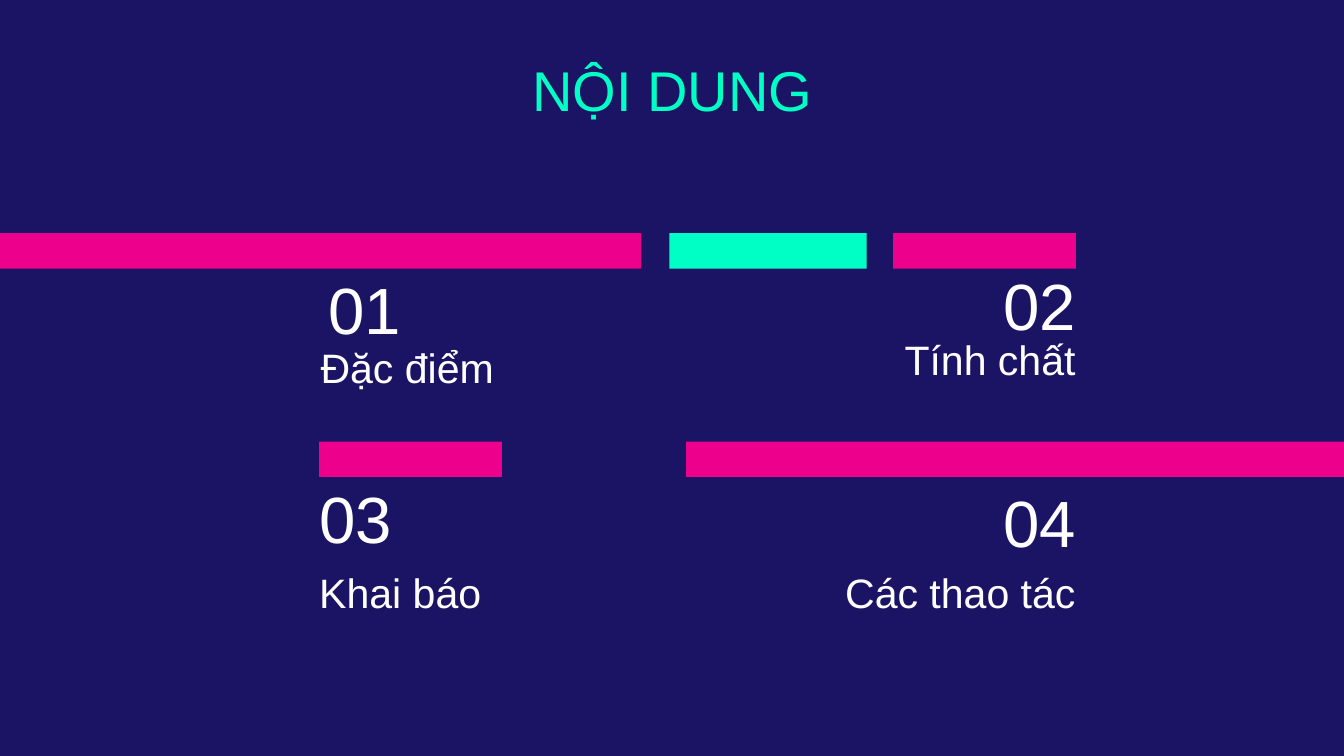
from dataclasses import dataclass

from pptx import Presentation
from pptx.dml.color import RGBColor as Rgb
from pptx.enum.shapes import MSO_SHAPE as Kind
from pptx.enum.text import MSO_AUTO_SIZE as Fit, PP_ALIGN as Align
from pptx.slide import Slide
from pptx.util import Pt


@dataclass(frozen=True)
class Theme:
    navy: Rgb = Rgb(0x1B, 0x14, 0x64)
    pink: Rgb = Rgb(0xEC, 0x00, 0x8C)
    mint: Rgb = Rgb(0x00, 0xFF, 0xC5)
    white: Rgb = Rgb(0xFF, 0xFF, 0xFF)
    font: str = "Arial"
    title: int = 60
    number: int = 70
    label: int = 44
    leading: float = 1.2


@dataclass(frozen=True)
class Bar:
    left: float
    top: float
    width: float
    color: Rgb


@dataclass(frozen=True)
class Text:
    words: str
    left: float
    top: float
    width: float
    height: float
    size: int
    color: Rgb
    align: Align


@dataclass(frozen=True)
class Topic:
    """A number at (left, top) with its label at (label_left, label_top)."""
    number: str
    label: str
    left: float
    top: float
    height: float
    label_left: float
    label_top: float
    align: Align
    label_width: float = 326.16


THEME = Theme()
WIDE, HIGH = 1440, 810
THICK = 37.9
UPPER, LOWER = 249.84, 473.04
LEFT, RIGHT, COLUMN = 342, 826.56, 326.16
EDGE = RIGHT + COLUMN
SHORT = 195.84

BARS = [
    Bar(0, UPPER, 686.88, THEME.pink),
    Bar(EDGE - SHORT, UPPER, SHORT, THEME.pink),
    Bar(LEFT, LOWER, SHORT, THEME.pink),
    Bar(735.12, LOWER, WIDE - 735.12, THEME.pink),
    Bar(717.12, UPPER, 211.32, THEME.mint),
]

TITLE = Text("NỘI DUNG", 208.8, 59.04, 1023.12, 74.16,
             THEME.title, THEME.mint, Align.CENTER)

TOPICS = [
    Topic("01", "Đặc điểm", 352.08, 288, 41.04, 343.44, 367.2, Align.LEFT),
    Topic("02", "Tính chất", RIGHT, 284.4, 86.4, RIGHT, 357.84, Align.RIGHT),
    Topic("03", "Khai báo", LEFT, 512.64, 86.4, LEFT, 608.4, Align.LEFT, 375.12),
    Topic("04", "Các thao tác", RIGHT, 516.24, 41.04, RIGHT, 608.4, Align.RIGHT),
]


def style(item: object, values: dict[str, object]) -> None:
    for name, value in values.items():
        setattr(item, name, value)


def draw_bar(slide: Slide, bar: Bar) -> None:
    shape = slide.shapes.add_shape(
        Kind.RECTANGLE, Pt(bar.left), Pt(bar.top), Pt(bar.width), Pt(THICK))
    shape.shadow.inherit = False
    shape.fill.solid()
    shape.fill.fore_color.rgb = bar.color
    shape.line.fill.background()


def draw_text(slide: Slide, text: Text) -> None:
    box = slide.shapes.add_textbox(
        Pt(text.left), Pt(text.top), Pt(text.width), Pt(text.height))
    frame = box.text_frame
    style(frame, {
        "margin_left": 0, "margin_top": 0, "margin_right": 0,
        "margin_bottom": 0, "word_wrap": True,
        "auto_size": Fit.SHAPE_TO_FIT_TEXT,
    })
    para = frame.paragraphs[0]
    style(para, {
        "alignment": text.align,
        "line_spacing": Pt(text.size * THEME.leading),
    })
    run = para.add_run()
    run.text = text.words
    style(run.font, {"name": THEME.font, "size": Pt(text.size)})
    run.font.color.rgb = text.color


def draw_topic(slide: Slide, topic: Topic) -> None:
    draw_text(slide, Text(topic.number, topic.left, topic.top, COLUMN,
                          topic.height, THEME.number, THEME.white, topic.align))
    draw_text(slide, Text(topic.label, topic.label_left, topic.label_top,
                          topic.label_width, 54, THEME.label, THEME.white,
                          topic.align))


def main() -> None:
    deck = Presentation()
    style(deck, {"slide_width": Pt(WIDE), "slide_height": Pt(HIGH)})
    slide = deck.slides.add_slide(deck.slide_layouts[6])
    fill = slide.background.fill
    fill.solid()
    fill.fore_color.rgb = THEME.navy
    for bar in BARS:
        draw_bar(slide, bar)
    draw_text(slide, TITLE)
    for topic in TOPICS:
        draw_topic(slide, topic)
    deck.save("out.pptx")


if __name__ == "__main__":
    main()
